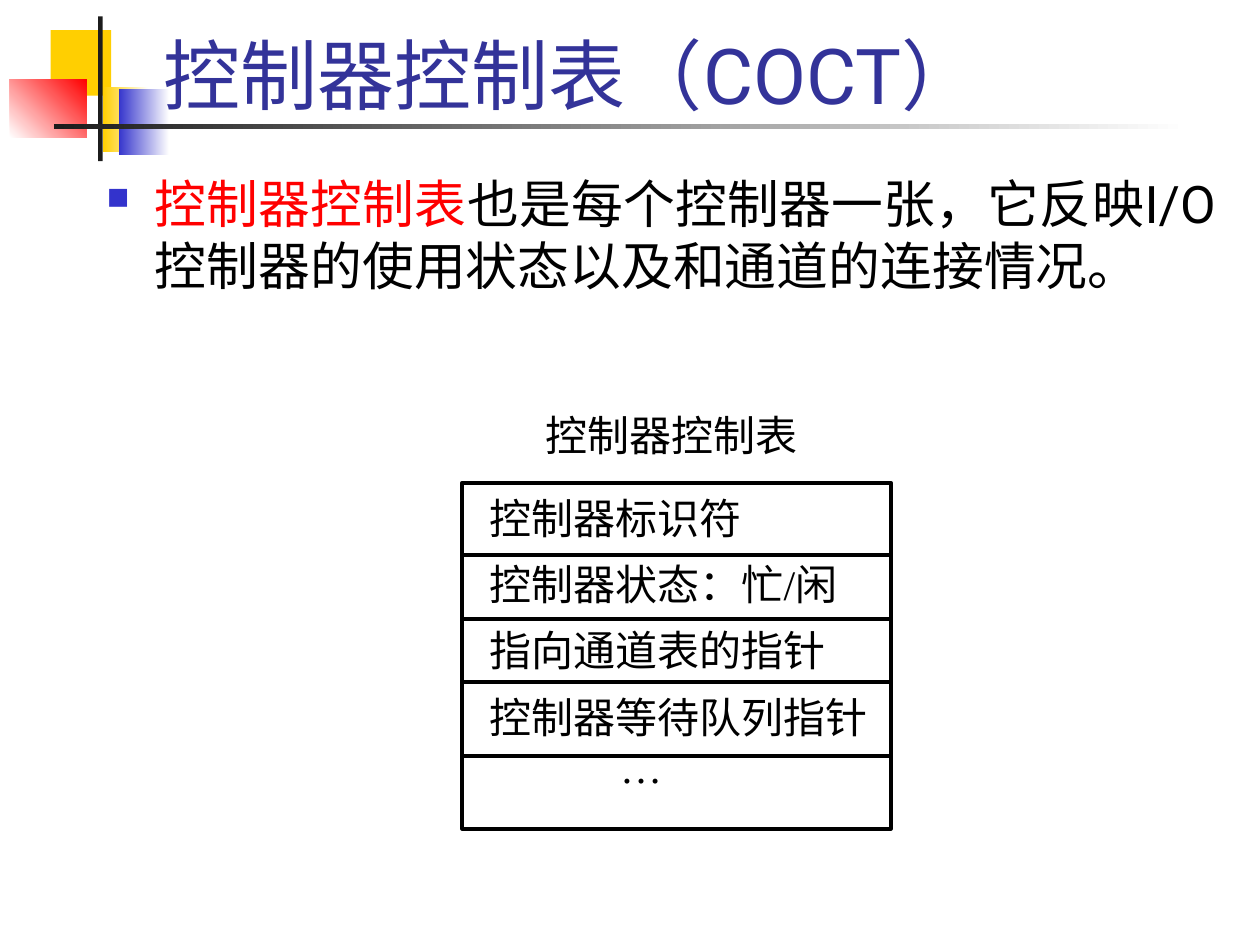
from lxml import etree
from pptx import Presentation
from pptx.dml.color import RGBColor
from pptx.enum import shapes, text
from pptx.oxml.ns import qn
from pptx.util import Cm, Pt

BLACK = RGBColor(0x00, 0x00, 0x00)
WHITE = RGBColor(0xFF, 0xFF, 0xFF)
RED = RGBColor(0xFF, 0x00, 0x00)
GOLD = RGBColor(0xFF, 0xCF, 0x01)
BLUE = RGBColor(0x33, 0x33, 0xCC)
TITLE_BLUE = RGBColor(0x33, 0x33, 0x99)
CHARCOAL = RGBColor(0x1C, 0x1C, 0x1C)
SANS, SERIF = "Roboto", "Times New Roman"

# left, top, width, height, colours from start to end, gradient angle
ORNAMENTS = [
    (1.02, 0.61, 1.22, 1.32, (GOLD,), 0),
    (2.08, 1.75, 0.91, 1.32, (GOLD, WHITE), 0),
    (2.39, 1.8, 1.02, 1.32, (BLUE, WHITE), 0),
    (0.2, 1.6, 1.55, 1.17, (WHITE, RED), 45),
    (1.98, 0.33, 0.09, 2.92, (CHARCOAL,), 0),
    (1.09, 2.51, 22.86, 0.09, (CHARCOAL, WHITE), 0),
]
BODY_SPANS = [
    ("控制器控制表", SANS, RED),
    ("也是每个控制器一张，它反", SANS, BLACK),
    ("映", SERIF, BLACK),
    ("I/O", SANS, BLACK),
    ("控制器的", SERIF, BLACK),
    ("使用状态以及和通道的连接情况。", SANS, BLACK),
]
# text, left indent, space before
TABLE_ROWS = [
    ("控制器标识符", 0.55, 0),
    ("控制器状态：忙/闲", 0.55, 9),
    ("指向通道表的指针", 0.55, 9),
    ("控制器等待队列指针", 0.55, 9),
    ("…", 3.18, 0),
]
TABLE_LEFT, TABLE_TOP, TABLE_WIDTH, TABLE_HEIGHT = 9.32, 9.73, 8.64, 6.98
DIVIDERS = (11.18, 12.47, 13.74, 15.24)


def add_rectangle(page, left, top, width, height):
    box = page.shapes.add_shape(shapes.MSO_SHAPE.RECTANGLE,
                                Cm(left), Cm(top), Cm(width), Cm(height))
    box.shadow.inherit = False
    return box


def add_ornament(page, left, top, width, height, colours, angle):
    box = add_rectangle(page, left, top, width, height)
    box.line.fill.background()
    if len(colours) == 1:
        box.fill.solid()
        box.fill.fore_color.rgb = colours[0]
        return
    box.fill.gradient()
    box.fill.gradient_angle = angle
    for stop, colour, position in zip(box.fill.gradient_stops, colours, (0, 1)):
        stop.color.rgb = colour
        stop.position = position


def add_text_box(page, left, top, width, height):
    box = page.shapes.add_textbox(Cm(left), Cm(top), Cm(width), Cm(height))
    box.text_frame.word_wrap = True
    return box.text_frame


def set_insets(frame, top=0):
    frame.margin_left = frame.margin_right = frame.margin_bottom = 0
    frame.margin_top = Cm(top)


def style(font, name, size, colour):
    font.name, font.size = name, Pt(size)
    font.color.rgb = colour


def add_bullet(para, indent):
    """Give the paragraph a hanging square bullet."""
    properties = para._p.get_or_add_pPr()
    properties.set("marL", str(Cm(indent)))
    properties.set("indent", str(-Cm(indent)))
    colour = etree.SubElement(properties, qn("a:buClr"))
    etree.SubElement(colour, qn("a:srgbClr"), val=str(BLUE))
    etree.SubElement(properties, qn("a:buSzPct"), val="60000")
    etree.SubElement(properties, qn("a:buChar"), char="■")


def add_title(page):
    frame = add_text_box(page, 3.05, 0.43, 21.64, 2.11)
    frame.vertical_anchor = text.MSO_ANCHOR.BOTTOM
    para = frame.paragraphs[0]
    para.text = "控制器控制表（COCT）"
    style(para.font, SANS, 44, TITLE_BLUE)


def add_body(page):
    para = add_text_box(page, 1.9, 3.33, 22.86, 4.14).paragraphs[0]
    para.alignment = text.PP_ALIGN.JUSTIFY
    add_bullet(para, 0.97)
    for words, font_name, colour in BODY_SPANS:
        span = para.add_run()
        span.text = words
        style(span.font, font_name, 29.6, colour)


def add_caption(page):
    frame = add_text_box(page, 11, 8.26, 5.13, 1.27)
    set_insets(frame)
    para = frame.paragraphs[0]
    para.text = "控制器控制表"
    para.alignment = text.PP_ALIGN.JUSTIFY
    style(para.font, SERIF, 24, BLACK)


def add_control_table(page):
    """Draw the framed list of fields with its dividing lines."""
    box = add_rectangle(page, TABLE_LEFT, TABLE_TOP, TABLE_WIDTH, TABLE_HEIGHT)
    box.fill.solid()
    box.fill.fore_color.rgb = WHITE
    box.line.color.rgb = BLACK
    box.line.width = Pt(2.25)
    frame = box.text_frame
    frame.word_wrap = True
    frame.vertical_anchor = text.MSO_ANCHOR.TOP
    set_insets(frame, top=0.2)
    for index, (words, indent, space) in enumerate(TABLE_ROWS):
        para = frame.add_paragraph() if index else frame.paragraphs[0]
        para.text = words
        para.alignment = text.PP_ALIGN.JUSTIFY
        para._p.get_or_add_pPr().set("marL", str(Cm(indent)))
        if space:
            para.space_before = Pt(space)
        style(para.font, SERIF, 24, BLACK)
    for height in DIVIDERS:
        add_divider(page, height)


def add_divider(page, top):
    line = page.shapes.add_connector(
        shapes.MSO_CONNECTOR.STRAIGHT, Cm(TABLE_LEFT), Cm(top),
        Cm(TABLE_LEFT + TABLE_WIDTH), Cm(top))
    line.line.color.rgb = BLACK
    line.line.width = Pt(2.25)
    etree.SubElement(line._element.spPr, qn("a:effectLst"))


def main():
    deck = Presentation()
    deck.slide_width, deck.slide_height = Cm(25.4), Cm(19.05)
    page = deck.slides.add_slide(deck.slide_layouts[6])
    for ornament in ORNAMENTS:
        add_ornament(page, *ornament)
    add_title(page)
    add_body(page)
    add_caption(page)
    add_control_table(page)
    deck.save("out.pptx")


if __name__ == "__main__":
    main()
